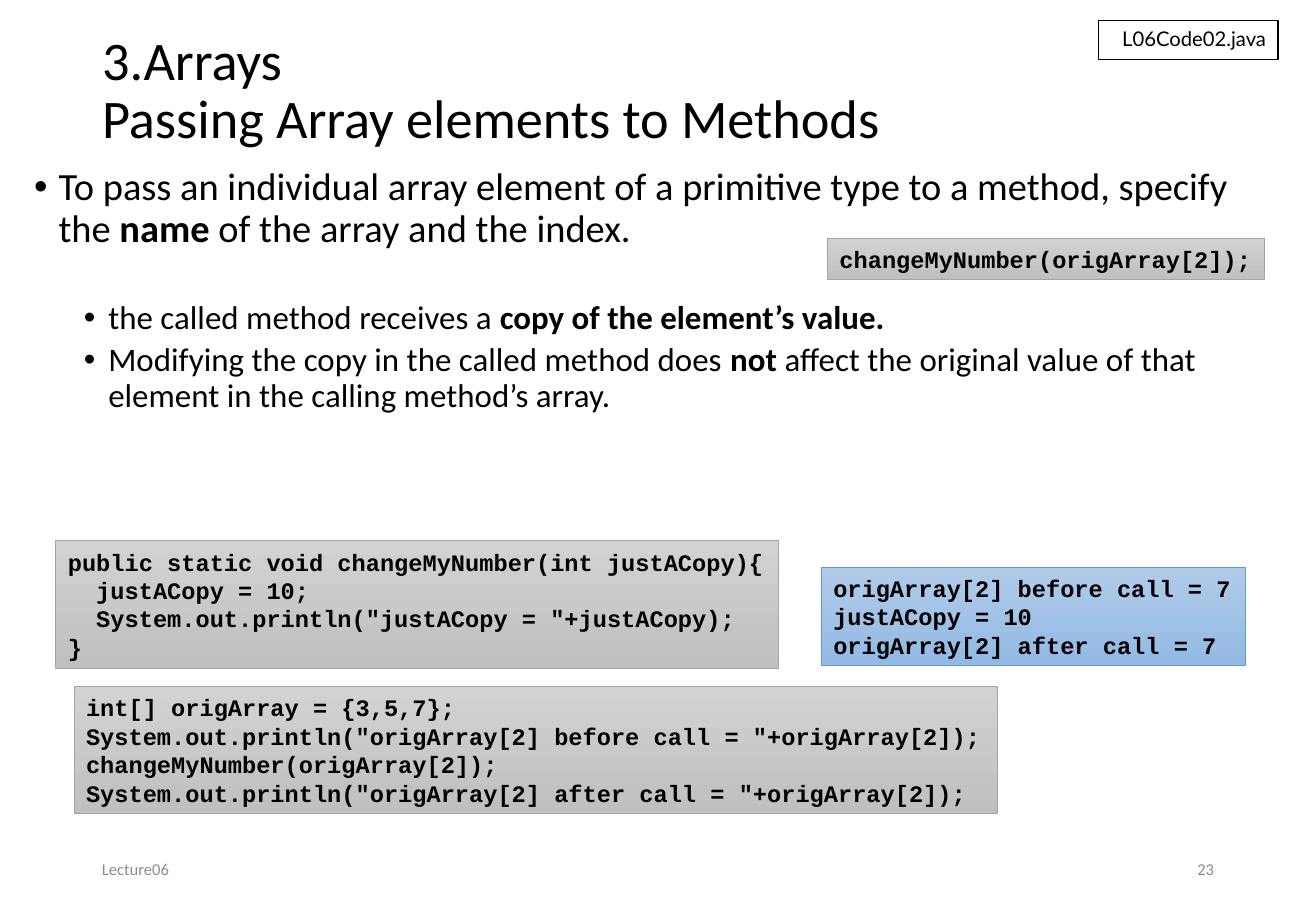
from lxml.etree import SubElement
from pptx import Presentation
from pptx.dml.color import RGBColor
from pptx.enum.text import MSO_ANCHOR, MSO_AUTO_SIZE, PP_ALIGN
from pptx.enum.shapes import MSO_SHAPE
from pptx.oxml.ns import qn
from pptx.util import Cm, Pt

BLACK = RGBColor(0x00, 0x00, 0x00)
WHITE = RGBColor(0xFF, 0xFF, 0xFF)
FOOTER_GRAY = RGBColor(0x8C, 0x8C, 0x8C)
# Each code style: gradient top, gradient bottom, border
CODE_GRAY = (RGBColor(0xD2, 0xD2, 0xD2), RGBColor(0xC0, 0xC0, 0xC0),
             RGBColor(0xA5, 0xA5, 0xA5))
OUTPUT_BLUE = (RGBColor(0xB1, 0xCB, 0xE9), RGBColor(0x93, 0xB9, 0xE4),
               RGBColor(0x5B, 0x9B, 0xD5))

# Bullets: level, space before in points, (text, bold) pieces
BULLETS = [
    (0, 8.1, [("To pass an individual array element of a primitive type to a "
               "method, specify the ", False), ("name", True),
              (" of the array and the index.", False)]),
    (1, 29.6, [("the called method receives a ", False),
               ("copy of the element’s value.", True)]),
    (1, 4.1, [("Modifying the copy in the called method does ", False),
              ("not", True),
              (" affect the original value of that element in the calling "
               "method’s array.", False)]),
]
BULLET_SIZES = (22.8, 19.5)
BULLET_INDENTS = (0.51, 1.55)
HANGING = 0.51

# Code boxes: box, style, lines
CODE_BOXES = [
    ((17.3, 4.98, 9.14, 0.86), CODE_GRAY, ["changeMyNumber(origArray[2]);"]),
    ((1.55, 14.35, 19.3, 2.67), CODE_GRAY, [
        "int[] origArray = {3,5,7};",
        'System.out.println("origArray[2] before call = "+origArray[2]);',
        "changeMyNumber(origArray[2]);",
        'System.out.println("origArray[2] after call = "+origArray[2]);']),
    ((1.17, 11.3, 15.11, 2.67), CODE_GRAY, [
        "public static void changeMyNumber(int justACopy){",
        "  justACopy = 10;",
        '  System.out.println("justACopy = "+justACopy);',
        "}"]),
    ((17.17, 11.86, 8.86, 2.06), OUTPUT_BLUE, [
        "origArray[2] before call = 7",
        "justACopy = 10",
        "origArray[2] after call = 7"]),
]


def place(shape, box):
    shape.left, shape.top, shape.width, shape.height = map(Cm, box)


def set_font(paragraph, name, size, color, bold=False):
    font = paragraph.font
    font.name, font.size, font.bold = name, Pt(size), bold
    font.color.rgb = color


def add_title(slide, box, text):
    title = slide.shapes.title
    place(title, box)
    frame = title.text_frame
    frame.text = text
    frame.auto_size = MSO_AUTO_SIZE.NONE
    frame.vertical_anchor = MSO_ANCHOR.MIDDLE
    line = frame.paragraphs[0]
    line.alignment, line.line_spacing = PP_ALIGN.LEFT, 0.9
    set_font(line, "Calibri", 32.2, BLACK)


def add_bullets(slide, box):
    body = slide.placeholders[1]
    place(body, box)
    frame = body.text_frame
    frame.auto_size = MSO_AUTO_SIZE.NONE
    for i, (level, gap, pieces) in enumerate(BULLETS):
        bullet = frame.paragraphs[0] if i == 0 else frame.add_paragraph()
        bullet.level = level
        bullet.line_spacing, bullet.space_before = 0.9, Pt(gap)
        # Bullet mark and hanging indent
        props = bullet._p.get_or_add_pPr()
        props.set("marL", str(Cm(BULLET_INDENTS[level])))
        props.set("indent", str(-Cm(HANGING)))
        SubElement(props, qn("a:buFont"), typeface="Arial")
        SubElement(props, qn("a:buChar"), char="•")
        set_font(bullet, "Calibri", BULLET_SIZES[level], BLACK)
        for text, bold in pieces:
            piece = bullet.add_run()
            piece.text = text
            if bold:
                piece.font.bold = True


def add_code(slide, box, style, lines):
    top, bottom, border = style
    code = slide.shapes.add_shape(MSO_SHAPE.RECTANGLE, *map(Cm, box))
    code.shadow.inherit = False
    code.fill.gradient()
    code.fill.gradient_angle = 270
    for stop, color in zip(code.fill.gradient_stops, (top, bottom)):
        stop.color.rgb = color
    code.line.color.rgb, code.line.width = border, Pt(0.5)
    frame = code.text_frame
    frame.word_wrap = False
    frame.auto_size = MSO_AUTO_SIZE.SHAPE_TO_FIT_TEXT
    frame.vertical_anchor = MSO_ANCHOR.MIDDLE
    frame.text = "\n".join(lines)
    for line in frame.paragraphs:
        line.alignment = PP_ALIGN.LEFT
        set_font(line, "Courier New", 14, BLACK, True)


def add_file_label(slide, box, text):
    label = slide.shapes.add_shape(MSO_SHAPE.RECTANGLE, *map(Cm, box))
    label.shadow.inherit = False
    label.fill.solid()
    label.fill.fore_color.rgb = WHITE
    label.line.color.rgb, label.line.width = BLACK, Pt(0.75)
    frame = label.text_frame
    frame.text = text
    frame.vertical_anchor = MSO_ANCHOR.TOP
    frame.paragraphs[0].alignment = PP_ALIGN.RIGHT
    set_font(frame.paragraphs[0], "Lato", 12, BLACK)


def add_footer(slide, box, text, alignment):
    footer = slide.shapes.add_textbox(*map(Cm, box))
    frame = footer.text_frame
    frame.word_wrap = True
    frame.vertical_anchor = MSO_ANCHOR.MIDDLE
    frame.text = text
    frame.paragraphs[0].alignment = alignment
    set_font(frame.paragraphs[0], "Calibri", 9.8, FOOTER_GRAY)


def main():
    deck = Presentation()
    deck.slide_width, deck.slide_height = Cm(27.51), Cm(19.05)
    slide = deck.slides.add_slide(deck.slide_layouts[1])

    # Title and bullets
    add_title(slide, (1.88, 1.02, 23.72, 1.8),
              "3.Arrays\vPassing Array elements to Methods")
    add_bullets(slide, (0.46, 3.38, 26.37, 9.37))
    # Footer and slide number
    add_footer(slide, (1.88, 17.65, 6.2, 1.02), "Lecture06", PP_ALIGN.LEFT)
    add_footer(slide, (19.43, 17.65, 6.2, 1.02), "23", PP_ALIGN.RIGHT)
    # Code listings and program output
    for box, style, lines in CODE_BOXES:
        add_code(slide, box, style, lines)
    # Source file name
    add_file_label(slide, (22.96, 0.43, 3.76, 0.81), "L06Code02.java")

    deck.save("out.pptx")


if __name__ == "__main__":
    main()
